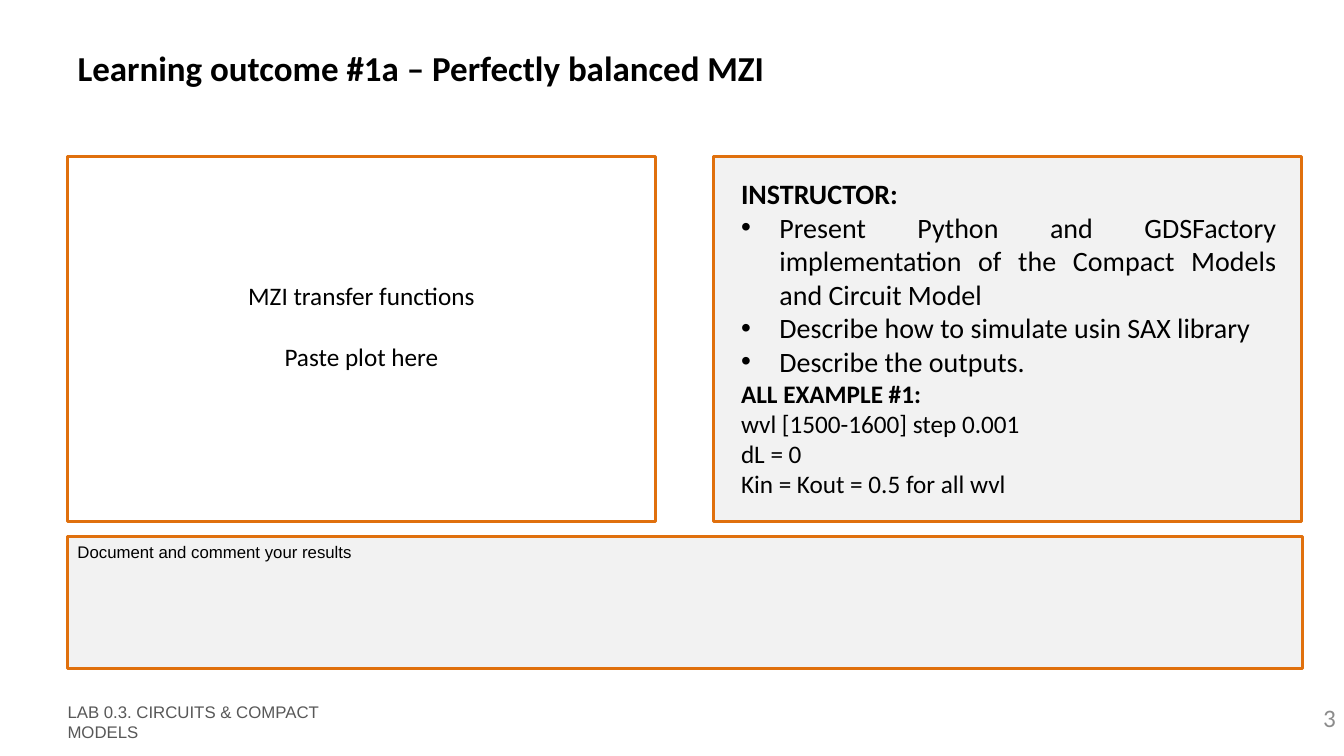
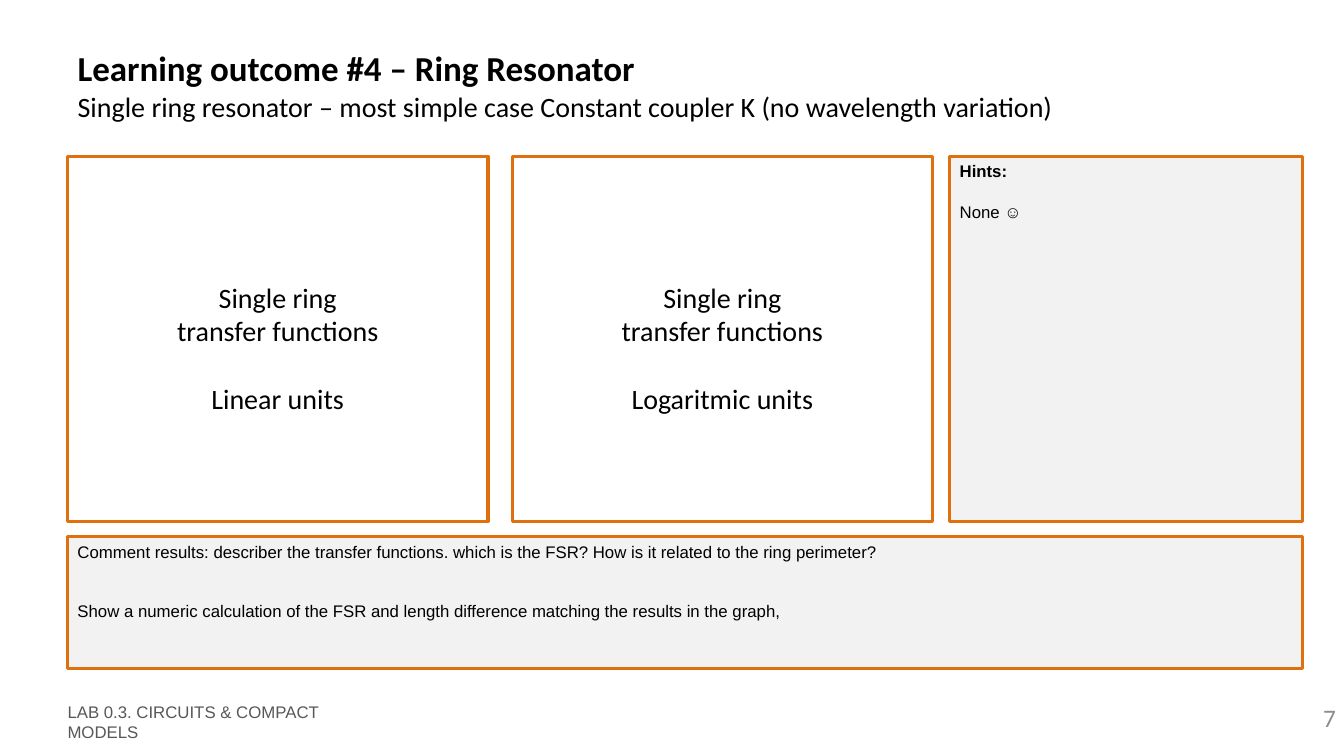
"""Builds two lab worksheet slides on interferometers and ring resonators."""
from lxml import etree
from pptx import Presentation
from pptx.dml.color import RGBColor
from pptx.enum import shapes, text
from pptx.oxml import ns
from pptx.util import Inches, Pt

BLACK = RGBColor(0x00, 0x00, 0x00)
ORANGE = RGBColor(0xE0, 0x70, 0x0D)
PANEL_GRAY = RGBColor(0xF2, 0xF2, 0xF2)
FOOTER_GRAY = RGBColor(0x58, 0x58, 0x58)
NUMBER_GRAY = RGBColor(0x8C, 0x8C, 0x8C)
LEFT, CENTER, RIGHT, JUSTIFY = (
    text.PP_ALIGN.LEFT, text.PP_ALIGN.CENTER, text.PP_ALIGN.RIGHT, text.PP_ALIGN.JUSTIFY)

MARGIN = 0.67
CONTENT_WIDTH = 12.25
PANEL_TOP, PANEL_HEIGHT = 1.55, 3.62
PLOT_TEXT_TOP = 2.73


def add_box(slide, left, top, width, height, outlined=False, fill=None, inset=True,
            anchor=text.MSO_ANCHOR.TOP):
    """Add a text box or an outlined panel and return its text frame."""
    place = [Inches(length) for length in (left, top, width, height)]
    if outlined:
        shape = slide.shapes.add_shape(shapes.MSO_SHAPE.RECTANGLE, *place)
        shape.shadow.inherit = False
        shape.line.color.rgb = ORANGE
        shape.line.width = Pt(2.25)
        if fill is None:
            shape.fill.background()
        else:
            shape.fill.solid()
            shape.fill.fore_color.rgb = fill
    else:
        shape = slide.shapes.add_textbox(*place)
    frame = shape.text_frame
    frame.word_wrap = True
    frame.vertical_anchor = anchor
    if not inset:
        frame.margin_left = frame.margin_top = frame.margin_right = frame.margin_bottom = 0
    return frame


def write(frame, words, size=12, font="Arial", color=BLACK, bold=False, align=LEFT,
          before=0, bullet=False):
    """Write one formatted paragraph at the end of a text frame."""
    paragraph = frame.paragraphs[0]
    if paragraph.runs:
        paragraph = frame.add_paragraph()
    paragraph.alignment = align
    paragraph.space_before = Pt(before)
    if bullet:
        properties = paragraph._p.get_or_add_pPr()
        properties.set("marL", str(Inches(0.38)))
        properties.set("indent", str(-Inches(0.38)))
        etree.SubElement(properties, ns.qn("a:buFont")).set("typeface", "Arial")
        etree.SubElement(properties, ns.qn("a:buChar")).set("char", "•")
    run = paragraph.add_run()
    run.text = words
    run.font.size = Pt(size)
    run.font.name = font
    run.font.bold = bold
    run.font.color.rgb = color


presentation = Presentation()
presentation.slide_width = Inches(13.33)
presentation.slide_height = Inches(7.5)

pages = [
    {
        "number": "3",
        "title": "Learning outcome #1a – Perfectly balanced MZI",
        "subtitle": None,
        "panels": [(MARGIN, 5.83, None), (7.08, 5.83, PANEL_GRAY)],
        "plot_size": 18,
        "plots": [[("MZI transfer functions", 0), ("Paste plot here", 22)]],
        "comments": [("Document and comment your results", 0)],
    },
    {
        "number": "7",
        "title": "Learning outcome #4 – Ring Resonator",
        "subtitle": "Single ring resonator – most simple case Constant coupler K "
                    "(no wavelength variation)",
        "panels": [(MARGIN, 4.17, None), (5.08, 4.17, None), (9.42, 3.5, PANEL_GRAY)],
        "plot_size": 20,
        "plots": [[("Single ring", 0), ("transfer functions", 0), (units, 24.4)]
                  for units in ("Linear units", "Logaritmic units")],
        "comments": [
            ("Comment results: describer the transfer functions. which is the FSR? "
             "How is it related to the ring perimeter?", 0),
            ("Show a numeric calculation of the FSR and length difference matching "
             "the results in the graph,", 28.4),
        ],
    },
]

side_frames = []
for page in pages:
    slide = presentation.slides.add_slide(presentation.slide_layouts[6])

    title = add_box(slide, 0.77, 0.46, 12, 0.8, inset=False)
    write(title, page["title"], size=25, font="Calibri", bold=True, before=1)
    if page["subtitle"]:
        write(title, page["subtitle"], size=20, font="Calibri", before=1)

    for left, width, fill in page["panels"]:
        panel = add_box(slide, left, PANEL_TOP, width, PANEL_HEIGHT, outlined=True, fill=fill)
    side_frames.append(panel)

    for (left, width, fill), lines in zip(page["panels"], page["plots"]):
        plot_text = add_box(slide, left, PLOT_TEXT_TOP, width, 1.45)
        for words, before in lines:
            write(plot_text, words, size=page["plot_size"], font="Calibri",
                  align=CENTER, before=before)

    comment_panel = add_box(slide, MARGIN, 5.32, CONTENT_WIDTH, 1.31,
                            outlined=True, fill=PANEL_GRAY)
    for words, before in page["comments"]:
        write(comment_panel, words, align=JUSTIFY, before=before)

    footer = add_box(slide, MARGIN, 7.06, 3, 0.2, inset=False, anchor=text.MSO_ANCHOR.MIDDLE)
    write(footer, "LAB 0.3. CIRCUITS & COMPACT MODELS", color=FOOTER_GRAY)
    number = add_box(slide, 10.18, 6.97, 3.07, 0.38, inset=False)
    write(number, page["number"], size=18, font="Calibri", color=NUMBER_GRAY, align=RIGHT)

instructions, hints = side_frames

instructions.margin_left = Inches(0.27)
instructions.margin_right = Inches(0.25)
instructions.margin_top = Inches(0.2)
write(instructions, "INSTRUCTOR:", size=20, font="Calibri", bold=True)
for task in (
    "Present Python and GDSFactory implementation of the Compact Models and Circuit Model",
    "Describe how to simulate usin SAX library",
    "Describe the outputs.",
):
    write(instructions, task, size=20, font="Calibri", align=JUSTIFY, bullet=True)
write(instructions, "ALL EXAMPLE #1:", size=18, font="Calibri", bold=True, align=JUSTIFY)
for setting in ("wvl [1500-1600] step 0.001", "dL = 0", "Kin = Kout = 0.5 for all wvl"):
    write(instructions, setting, size=18, font="Calibri", align=JUSTIFY)

write(hints, "Hints:", bold=True, align=JUSTIFY)
write(hints, "None ☺", align=JUSTIFY, before=14.2)

presentation.save("out.pptx")
